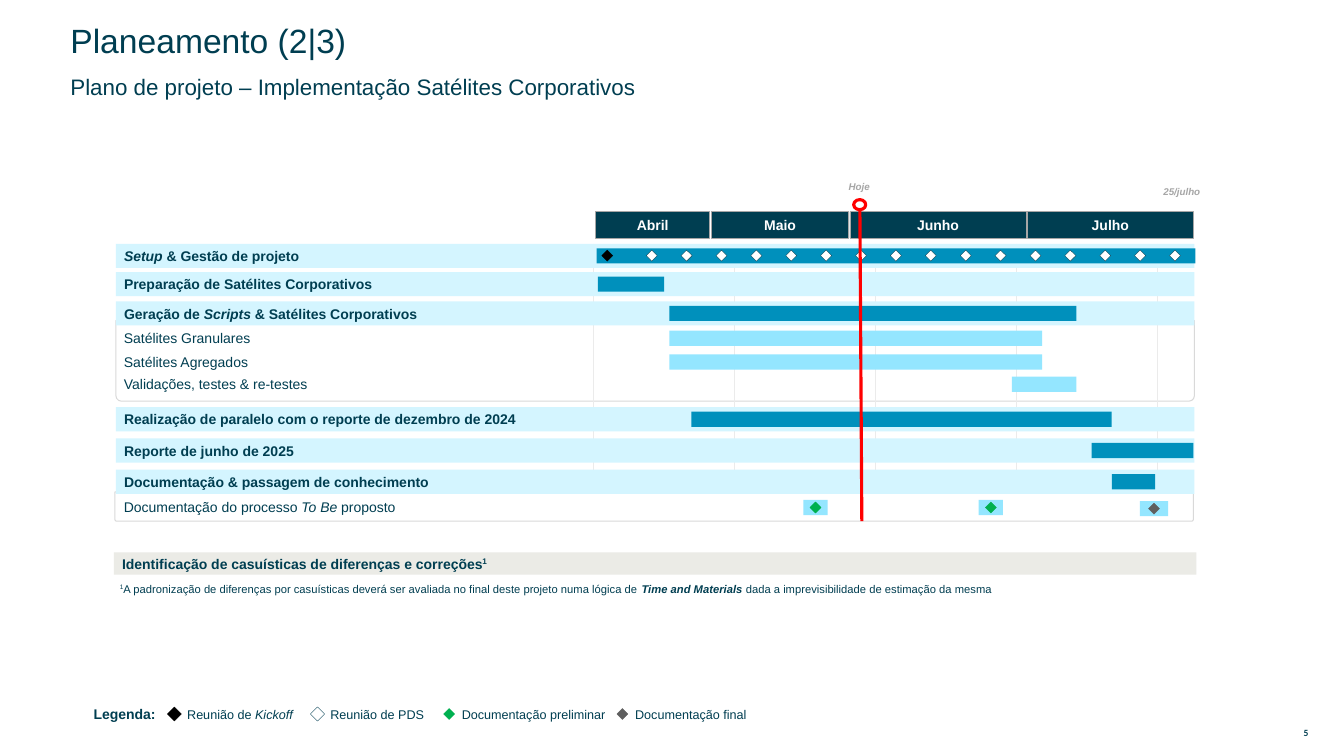
from lxml import etree
from pptx import Presentation
from pptx.dml.color import RGBColor
from pptx.enum.shapes import MSO_CONNECTOR, MSO_SHAPE
from pptx.enum.text import MSO_ANCHOR, PP_ALIGN
from pptx.oxml.ns import qn
from pptx.util import Pt

RECT = MSO_SHAPE.RECTANGLE
DIAMOND = MSO_SHAPE.DIAMOND
OVAL = MSO_SHAPE.OVAL
ROUND = MSO_SHAPE.ROUND_2_SAME_RECTANGLE
LINE = MSO_CONNECTOR.STRAIGHT
LEFT, CENTER = PP_ALIGN.LEFT, PP_ALIGN.CENTER
MIDDLE = MSO_ANCHOR.MIDDLE

NAVY = RGBColor(0x00, 0x3E, 0x51)
BLUE = RGBColor(0x00, 0x90, 0xBC)
SKY = RGBColor(0x94, 0xE6, 0xFF)
PALE = RGBColor(0xD4, 0xF5, 0xFF)
SAND = RGBColor(0xEB, 0xEB, 0xE6)
WHITE = RGBColor(0xFF, 0xFF, 0xFF)
BLACK = RGBColor(0x00, 0x00, 0x00)
GREEN = RGBColor(0x00, 0xB0, 0x50)
GRAY = RGBColor(0x5F, 0x5F, 0x5F)
SILVER = RGBColor(0xA6, 0xA6, 0xA6)
EDGE = RGBColor(0xD9, 0xD9, 0xD9)
MIST = RGBColor(0xEB, 0xEB, 0xEB)
RED = RGBColor(0xFF, 0x00, 0x00)

# Row geometry
ROW_X, ROW_W, ROW_H = 82.8, 770.4, 17.2
BAR_H = 10.8
SMALL, LARGE = 7.9, 10.1


class Plan:
    """Style and drawing methods for one slide."""

    def __init__(self, slide, font="Arial", ink=NAVY):
        self.slide, self.font, self.ink = slide, font, ink

    def label(self, shape, parts, size, color=None, align=LEFT, pad=7.2, font=None):
        """Fill a shape with (text, marks) parts: b bold, i italic, s superscript."""
        frame = shape.text_frame
        frame.word_wrap = True
        frame.vertical_anchor = MIDDLE
        frame.margin_left = frame.margin_right = Pt(pad)
        frame.margin_top = frame.margin_bottom = Pt(0)
        para = frame.paragraphs[0]
        para.alignment = align
        for text, marks in parts:
            run = para.add_run()
            run.text = text
            run.font.name = font or self.font
            run.font.size = Pt(size)
            run.font.bold = "b" in marks
            run.font.italic = "i" in marks
            run.font.color.rgb = color or self.ink
            if "s" in marks:
                run.font._element.set("baseline", "30000")

    def text(self, x, y, w, h, parts, size, **style):
        box = self.slide.shapes.add_textbox(Pt(x), Pt(y), Pt(w), Pt(h))
        self.label(box, parts, size, **style)

    def shape(self, kind, x, y, w, h, fill=None, line=None, width=0.25):
        item = self.slide.shapes.add_shape(kind, Pt(x), Pt(y), Pt(w), Pt(h))
        item.shadow.inherit = False
        if fill is None:
            item.fill.background()
        else:
            item.fill.solid()
            item.fill.fore_color.rgb = fill
        if line is None:
            item.line.fill.background()
        else:
            item.line.color.rgb = line
            item.line.width = Pt(width)
        return item

    def band(self, x, y, w, h, parts, fill):
        self.label(self.shape(RECT, x, y, w, h, fill), parts, 10, pad=5.8)

    def bar(self, x, mid, w, fill):
        self.shape(RECT, x, mid - BAR_H / 2, w, BAR_H, fill)

    def mark(self, x, y, fill, line, size=SMALL):
        """Diamond centred on x, y."""
        self.shape(DIAMOND, x - size / 2, y - size / 2, size, size, fill, line)

    def frame(self, x, y, w, h):
        item = self.shape(ROUND, x, y, w, h, line=EDGE, width=0.75)
        item.adjustments[0], item.adjustments[1] = 0, 0.07

    def rule(self, x1, y1, x2, y2, color, width):
        item = self.slide.shapes.add_connector(LINE, Pt(x1), Pt(y1), Pt(x2), Pt(y2))
        item.line.color.rgb = color
        item.line.width = Pt(width)
        etree.SubElement(item._element.spPr, qn("a:effectLst"))


MONTHS = [("Abril", 425.5, 81.4), ("Maio", 508.3, 97.9),
          ("Junho", 607, 126), ("Julho", 733.7, 118.8)]

# Band top, label, bar left, bar width
PHASES = [
    (174.2, [("Setup", "bi"), (" & Gestão de projeto", "b")], 426.2, 427.7),
    (194.4, [("Preparação de Satélites Corporativos", "b")], 427, 47.5),
    (215.3, [("Geração de ", "b"), ("Scripts", "bi"),
             (" & Satélites Corporativos", "b")], 478.1, 290.9),
    (290.9, [("Realização de paralelo com o reporte de dezembro de 2024", "b")],
     493.9, 300.2),
    (313.2, [("Reporte de junho de 2025", "b")], 779.8, 72.7),
    (335.5, [("Documentação & passagem de conhecimento", "b")], 794.2, 31),
]

# Row middle, label, bar left, bar width
TASKS = [(241.6, "Satélites Granulares", 478.1, 266.4),
         (258.6, "Satélites Agregados", 478.1, 266.4),
         (274.5, "Validações, testes & re-testes", 722.9, 46.1)]

# Delivery middle x and y, bar width, colour
DOCS = [(582.5, 362.5, 17.3, GREEN), (707.8, 362.5, 17.3, GREEN),
        (824.3, 363.3, 20.2, GRAY)]

# Diamond middle, size, fill, line, label, label width
LEGEND = [
    (124.6, LARGE, BLACK, BLACK, [("Reunião de ", ""), ("Kickoff", "i")], 93),
    (226.8, LARGE, WHITE, NAVY, [("Reunião de PDS", "")], 93),
    (320.8, SMALL, GREEN, GREEN, [("Documentação preliminar", "")], 122),
    (444.6, SMALL, GRAY, GRAY, [("Documentação final", "")], 102),
]


def main():
    deck = Presentation()
    deck.slide_width, deck.slide_height = Pt(960), Pt(540)
    plan = Plan(deck.slides.add_slide(deck.slide_layouts[6]))

    # Titles and page number
    plan.text(43.2, 19.4, 572, 18.7, [("Planeamento (2|3)", "")], 24)
    plan.text(43.2, 52.6, 552, 18.7,
              [("Plano de projeto – Implementação Satélites Corporativos", "")], 16)
    plan.text(916.6, 517.7, 32.4, 11.5, [("5", "b")], 6.8, align=CENTER, font="Calibri")

    # Frames and month grid
    plan.frame(ROW_X, 229, ROW_W, 57.6)
    plan.frame(82.1, 351.4, ROW_W, 20.9)
    for i in range(5):
        x = 423.4 + 100.8 * i
        plan.rule(x, 174.2, x, 352.8, MIST, 0.25)

    # Month headers
    for name, x, w in MONTHS:
        head = plan.shape(RECT, x, 151.2, w, 18.7, NAVY, SILVER)
        plan.label(head, [(name, "b")], 10, color=WHITE, align=CENTER, pad=0)
    plan.text(818.6, 128.9, 51.1, 15.8, [("25/julho", "bi")], 7,
              color=SILVER, align=CENTER, pad=0)

    # Phases and tasks
    for y, label, x, w in PHASES:
        plan.band(ROW_X, y, ROW_W, ROW_H, label, PALE)
        plan.bar(x, y + ROW_H / 2, w, BLUE)
    for mid, label, x, w in TASKS:
        plan.text(81.4, mid - 8, 290, 16, [(label, "")], 10)
        plan.bar(x, mid, w, SKY)

    # Meetings
    plan.mark(433.8, 182.6, BLACK, BLACK)
    for i in range(16):
        plan.mark(465.5 + 24.92 * i, 182.6, WHITE, NAVY)

    # Deliveries
    plan.text(81.4, 355, 290, 14.4,
              [("Documentação do processo ", ""), ("To Be", "i"), (" proposto", "")], 10)
    for x, y, w, color in DOCS:
        plan.bar(x - w / 2, y, w, SKY)
        plan.mark(x, y, color, color)

    # Extra work and footnote
    plan.band(81.4, 394.6, 773.3, 15.8,
              [("Identificação de casuísticas de diferenças e correções", "b"),
               ("1", "bs")], SAND)
    plan.text(78.5, 411.8, 778.3, 17.3,
              [("1", "s"),
               ("A padronização de diferenças por casuísticas deverá ser avaliada "
                "no final deste projeto numa lógica de ", ""),
               ("Time and Materials ", "bi"),
               ("dada a imprevisibilidade de estimação da mesma", "")], 8)

    # Legend
    plan.text(59.8, 499.7, 59.8, 20.9, [("Legenda:", "b")], 10)
    for x, size, fill, line, label, w in LEGEND:
        plan.mark(x, 510, fill, line, size)
        plan.text(x + 2, 500.8, w, 19.4, label, 9)

    # Today marker
    plan.rule(614.2, 145.4, 615.6, 372.2, RED, 2.25)
    plan.shape(OVAL, 609.8, 142.6, 8.6, 7.2, WHITE, RED, 2.25)
    plan.text(588.2, 124.6, 51.1, 17.3, [("Hoje", "bi")], 7,
              color=SILVER, align=CENTER, pad=0)

    deck.save("out.pptx")


if __name__ == "__main__":
    main()
